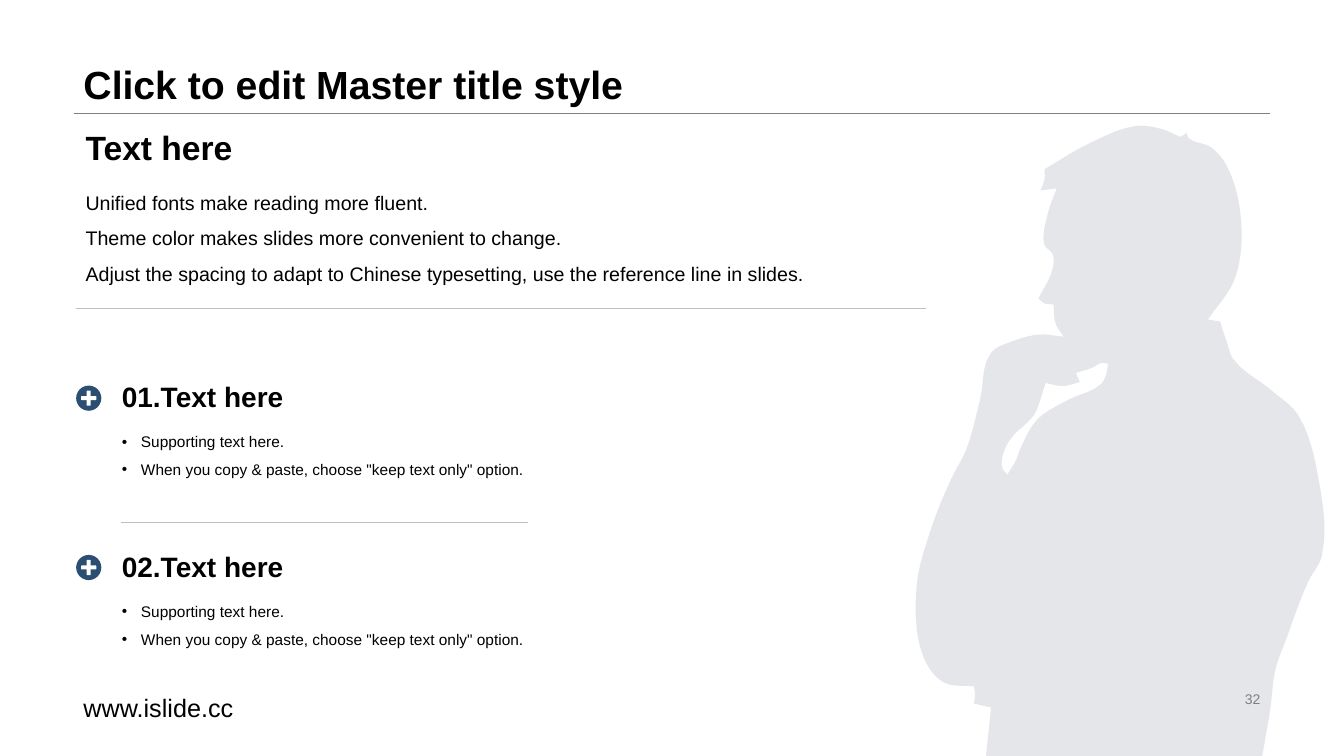
from itertools import pairwise
from lxml import etree
from pptx import Presentation
from pptx import util as u
from pptx.dml.color import RGBColor
from pptx.enum import shapes, text
from pptx.oxml.ns import qn

BLACK = RGBColor(0x00, 0x00, 0x00)
WHITE = RGBColor(0xFF, 0xFF, 0xFF)
GRAY = RGBColor(0x80, 0x80, 0x80)
RULE_GRAY = RGBColor(0xBF, 0xBF, 0xBF)
SILHOUETTE = RGBColor(0xE4, 0xE6, 0xEA)
NAVY = RGBColor(0x2B, 0x4E, 0x72)

BODY = [
    (9.66, 6.81), (9.67, 6.89), (9.66, 6.98), (9.83, 7.02), (9.78, 7.5),
    (12.52, 7.5), (12.6, 7.03), (12.65, 6.64), (12.75, 6.36),
    (12.98, 5.76), (13.11, 5.52), (13.07, 4.71), (12.87, 4.11),
    (12.62, 3.88), (12.23, 3.56), (12.17, 3.4), (12.1, 3.19),
    (11.98, 3.17), (12.25, 2.76), (12.31, 2.19), (12.17, 1.65), (12.01, 1.46),
    (11.79, 1.37), (11.77, 1.32), (11.71, 1.36),
    (11.52, 1.28), (11.27, 1.25), (10.77, 1.44), (10.36, 1.68), (10.36, 1.78),
    (10.32, 1.89), (10.48, 1.87), (10.39, 2.13), (10.36, 2.43),
    (10.44, 2.52), (10.44, 2.67), (10.3, 2.96), (10.36, 3.01), (10.45, 3.02),
    (10.47, 3.21), (10.55, 3.34), (10.3, 3.32), (10.06, 3.38), (9.83, 3.5),
    (9.72, 3.97), (9.58, 4.47), (9.44, 4.74), (9.23, 5.26), (9.09, 5.83),
    (9.16, 6.52), (9.36, 6.77),
]
ARM_GAP = [
    (10.06, 4.31), (10.16, 4.22), (10.26, 4.11), (10.32, 3.96), (10.37, 3.8),
    (10.55, 3.83), (10.71, 3.79), (10.67, 3.7), (10.83, 3.65), (10.93, 3.6),
    (10.99, 3.61), (10.97, 3.72), (10.92, 3.81), (10.59, 3.97), (10.29, 4.16),
    (10.13, 4.43), (10.07, 4.58), (9.99, 4.71), (9.94, 4.64), (9.96, 4.47),
]

prs = Presentation()
prs.slide_width, prs.slide_height = u.Inches(13.33), u.Inches(7.5)
s = prs.slides.add_slide(prs.slide_layouts[6])


def add_text(box, lines, size, bold=False, color=BLACK, anchor=text.MSO_ANCHOR.TOP,
             align=text.PP_ALIGN.LEFT, spacing=1.0, bullet=False):
    tf = s.shapes.add_textbox(*map(u.Inches, box)).text_frame
    tf.word_wrap = True
    tf.vertical_anchor = anchor
    for i, line in enumerate(lines):
        p = tf.add_paragraph() if i else tf.paragraphs[0]
        if bullet:
            pPr = p._p.get_or_add_pPr()
            pPr.set("marL", str(u.Inches(0.19)))
            pPr.set("indent", str(u.Inches(-0.19)))
            etree.SubElement(pPr, qn("a:buFont")).set("typeface", "Arial")
            etree.SubElement(pPr, qn("a:buChar")).set("char", "•")
        p.alignment = align
        p.line_spacing = spacing
        r = p.add_run()
        r.text = line
        r.font.name, r.font.size, r.font.bold = "Arial", u.Pt(size), bold
        r.font.color.rgb = color


def smooth_outline(points):
    pts = [complex(*xy) for xy in points]
    pts.append(pts[0])
    dirs = [(b - a) / abs(b - a) for a, b in pairwise(pts)]
    curve = []
    for i, (a, b) in enumerate(pairwise(pts)):
        before, here, after = dirs[i - 1], dirs[i], dirs[(i + 1) % len(dirs)]
        tangents = []
        for other in (before, after):
            is_smooth = (here * other.conjugate()).real > 0.6
            mean = here + other if is_smooth else here
            tangents.append(mean / abs(mean) * abs(b - a) / 3)
        c, d = a + tangents[0], b - tangents[1]
        for t in (0, 0.2, 0.4, 0.6, 0.8):
            q = 1 - t
            z = q**3 * a + 3 * q * q * t * c + 3 * q * t * t * d + t**3 * b
            curve.append((u.Inches(z.real), u.Inches(z.imag)))
    return curve


body = smooth_outline(BODY)
gap = smooth_outline(ARM_GAP)
fb = s.shapes.build_freeform(*body[0])
fb.add_line_segments(body[1:])
fb.move_to(*gap[0])
fb.add_line_segments(gap[1:])
sp = fb.convert_to_shape()
sp.shadow.inherit = False
sp.fill.solid()
sp.fill.fore_color.rgb = SILHOUETTE
sp.line.fill.background()

for x1, x2, y, color in [(0.73, 12.6, 1.12, GRAY), (0.75, 9.18, 3.06, RULE_GRAY),
                         (1.2, 5.24, 5.18, RULE_GRAY)]:
    ln = s.shapes.add_connector(shapes.MSO_CONNECTOR.STRAIGHT,
                                *map(u.Inches, (x1, y, x2, y)))
    ln.line.color.rgb = color
    ln.line.width = u.Pt(0.25)
    etree.SubElement(ln._element.spPr, qn("a:effectLst"))

add_text((0.73, 0, 11.87, 1.12), ["Click to edit Master title style"], 28, True,
         anchor=text.MSO_ANCHOR.BOTTOM, spacing=0.9)
add_text((0.75, 1.25, 8.08, 0.48), ["Text here"], 24, True, spacing=0.9)
add_text((0.75, 1.73, 8.08, 1.33), [
    "Unified fonts make reading more fluent.",
    "Theme color makes slides more convenient to change.",
    "Adjust the spacing to adapt to Chinese typesetting, use the reference line in slides.",
], 14, spacing=1.5)

for i, heading in enumerate(["01.Text here", "02.Text here"]):
    top = 3.67 + 1.68 * i
    add_text((1.11, top, 7.73, 0.48), [heading], 20, True,
             anchor=text.MSO_ANCHOR.BOTTOM)
    add_text((1.11, top + 0.48, 7.73, 0.89), [
        "Supporting text here.",
        'When you copy & paste, choose "keep text only" option.',
    ], 11, spacing=1.5, bullet=True)
    for kind, w, h, color in [
        (shapes.MSO_SHAPE.OVAL, 0.25, 0.25, NAVY),
        (shapes.MSO_SHAPE.ROUNDED_RECTANGLE, 0.15, 0.04, WHITE),
        (shapes.MSO_SHAPE.ROUNDED_RECTANGLE, 0.04, 0.15, WHITE),
    ]:
        sp = s.shapes.add_shape(kind, *map(
            u.Inches, (0.88 - w / 2, top + 0.28 - h / 2, w, h)))
        sp.shadow.inherit = False
        sp.fill.solid()
        sp.fill.fore_color.rgb = color
        sp.line.fill.background()

add_text((0.73, 6.82, 4.53, 0.23), ["www.islide.cc"], 18)
add_text((9.42, 6.82, 3.18, 0.23), ["32"], 10, color=GRAY,
         anchor=text.MSO_ANCHOR.MIDDLE, align=text.PP_ALIGN.RIGHT)

prs.save("out.pptx")
